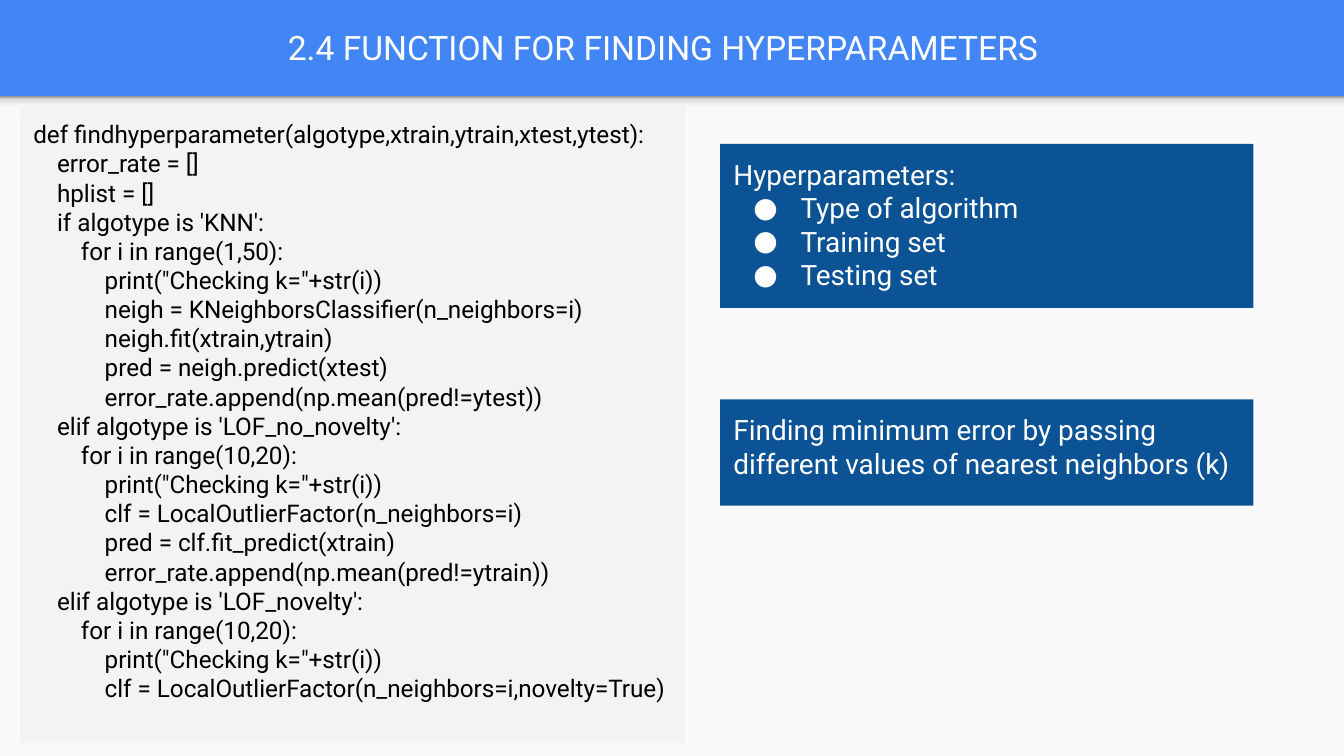
from dataclasses import dataclass

import lxml.etree
import pptx
import pptx.dml.color
import pptx.enum.shapes
import pptx.enum.text
import pptx.oxml.ns
import pptx.util
from pptx.util import Cm

COLORS = {
    "header": "4285F4",
    "body": "FAFAFA",
    "code": "F3F3F3",
    "note": "0B5394",
    "dark": "000000",
    "light": "FFFFFF",
}
SHADOW_STOPS = [(0, "F9F9F9"), (36, "F9F9F9"), (80, "DEDEDE"), (100, "999999")]
FONT = "Roboto"
CODE_STEP = 0.45  # cm for each level of code
BULLET_INDENT, BULLET_HANG = 1.27, 0.89
INSET = Cm(0.25)


@dataclass
class Line:
    text: str
    level: int = 0
    bullet: bool = False


@dataclass
class Panel:
    left: float
    top: float
    width: float
    height: float
    fill: str
    size: float = 15
    color: str = "light"
    lines: tuple[Line, ...] = ()


CODE = (
    Line("def findhyperparameter(algotype,xtrain,ytrain,xtest,ytest):"),
    Line("error_rate = []", 1),
    Line("hplist = []", 1),
    Line("if algotype is 'KNN':", 1),
    Line("for i in range(1,50):", 2),
    Line('print("Checking k="+str(i))', 3),
    Line("neigh = KNeighborsClassifier(n_neighbors=i)", 3),
    Line("neigh.fit(xtrain,ytrain)", 3),
    Line("pred = neigh.predict(xtest)", 3),
    Line("error_rate.append(np.mean(pred!=ytest))", 3),
    Line("elif algotype is 'LOF_no_novelty':", 1),
    Line("for i in range(10,20):", 2),
    Line('print("Checking k="+str(i))', 3),
    Line("clf = LocalOutlierFactor(n_neighbors=i)", 3),
    Line("pred = clf.fit_predict(xtrain)", 3),
    Line("error_rate.append(np.mean(pred!=ytrain))", 3),
    Line("elif algotype is 'LOF_novelty':", 1),
    Line("for i in range(10,20):", 2),
    Line('print("Checking k="+str(i))', 3),
    Line("clf = LocalOutlierFactor(n_neighbors=i,novelty=True)", 3),
)
HYPERPARAMETERS = (
    Line("Hyperparameters:"),
    Line("Type of algorithm", bullet=True),
    Line("Training set", bullet=True),
    Line("Testing set", bullet=True),
)
GOAL = (Line("Finding minimum error by passing different values of nearest neighbors (k)"),)

BODY = Panel(0, 1.82, 25.4, 12.47, "body")
SHADOW = Panel(0, 1.82, 25.4, 0.31, "body")
TEXT_PANELS = [
    Panel(0.38, 2.01, 12.57, 12.04, "code", 13, "dark", CODE),
    Panel(13.61, 2.72, 10.08, 3.1, "note", lines=HYPERPARAMETERS),
    Panel(13.61, 7.55, 10.08, 2.01, "note", lines=GOAL),
]


def rgb(name: str) -> pptx.dml.color.RGBColor:
    return pptx.dml.color.RGBColor.from_string(COLORS[name])


def add_xml(parent, tag: str, **attributes: str):
    child = lxml.etree.SubElement(parent, pptx.oxml.ns.qn(tag))
    for name, value in attributes.items():
        child.set(name, value)
    return child


def prepare_frame(frame, anchor) -> None:
    frame.word_wrap = True
    frame.auto_size = pptx.enum.text.MSO_AUTO_SIZE.NONE
    frame.vertical_anchor = anchor
    frame.margin_left = frame.margin_right = INSET
    frame.margin_top = frame.margin_bottom = INSET


def write(para, text: str, *, size: float, color: str, align) -> None:
    para.alignment = align
    span = para.add_run()
    span.text = text
    span.font.name = FONT
    span.font.size = pptx.util.Pt(size)
    span.font.color.rgb = rgb(color)


def indent(para, line: Line, color: str) -> None:
    """Set the left indent for the code level, or a hanging bullet."""
    properties = para._p.get_or_add_pPr()
    left = BULLET_INDENT if line.bullet else line.level * CODE_STEP
    properties.set("marL", str(Cm(left)))
    properties.set("indent", str(Cm(-BULLET_HANG if line.bullet else 0)))
    if line.bullet:
        bullet_color = add_xml(properties, "a:buClr")
        add_xml(bullet_color, "a:srgbClr", val=COLORS[color])
        add_xml(properties, "a:buFont", typeface=FONT)
        add_xml(properties, "a:buChar", char="●")


def draw_panel(page, panel: Panel):
    box = page.shapes.add_shape(
        pptx.enum.shapes.MSO_SHAPE.RECTANGLE,
        Cm(panel.left), Cm(panel.top), Cm(panel.width), Cm(panel.height),
    )
    box.shadow.inherit = False
    box.line.fill.background()
    box.fill.solid()
    box.fill.fore_color.rgb = rgb(panel.fill)
    frame = box.text_frame
    prepare_frame(frame, pptx.enum.text.MSO_ANCHOR.TOP)
    for number, line in enumerate(panel.lines):
        para = frame.add_paragraph() if number else frame.paragraphs[0]
        write(para, line.text, size=panel.size, color=panel.color,
              align=pptx.enum.text.PP_ALIGN.LEFT)
        indent(para, line, panel.color)
    return box


def draw_header_shadow(page) -> None:
    box = draw_panel(page, SHADOW)
    box.fill.gradient()
    box.fill.gradient_angle = 90  # counted anticlockwise: light below, dark above
    stops = box._element.spPr.find(".//" + pptx.oxml.ns.qn("a:gsLst"))
    for stop in list(stops):
        stops.remove(stop)
    for percent, color in SHADOW_STOPS:
        stop = add_xml(stops, "a:gs", pos=str(percent * 1000))
        add_xml(stop, "a:srgbClr", val=color)


def format_title(title, text: str) -> None:
    title.left, title.top = Cm(0.28), Cm(0.05)
    title.width, title.height = Cm(24.51), Cm(1.68)
    prepare_frame(title.text_frame, pptx.enum.text.MSO_ANCHOR.MIDDLE)
    write(title.text_frame.paragraphs[0], text, size=18, color="light",
          align=pptx.enum.text.PP_ALIGN.CENTER)


def main() -> None:
    deck = pptx.Presentation()
    deck.slide_width, deck.slide_height = Cm(25.4), Cm(14.29)
    page = deck.slides.add_slide(deck.slide_layouts.get_by_name("Title Only"))
    page.background.fill.solid()
    page.background.fill.fore_color.rgb = rgb("header")
    format_title(page.shapes.title, "2.4 FUNCTION FOR FINDING HYPERPARAMETERS")
    draw_panel(page, BODY)
    draw_header_shadow(page)
    for panel in TEXT_PANELS:
        draw_panel(page, panel)
    deck.save("out.pptx")


if __name__ == "__main__":
    main()
